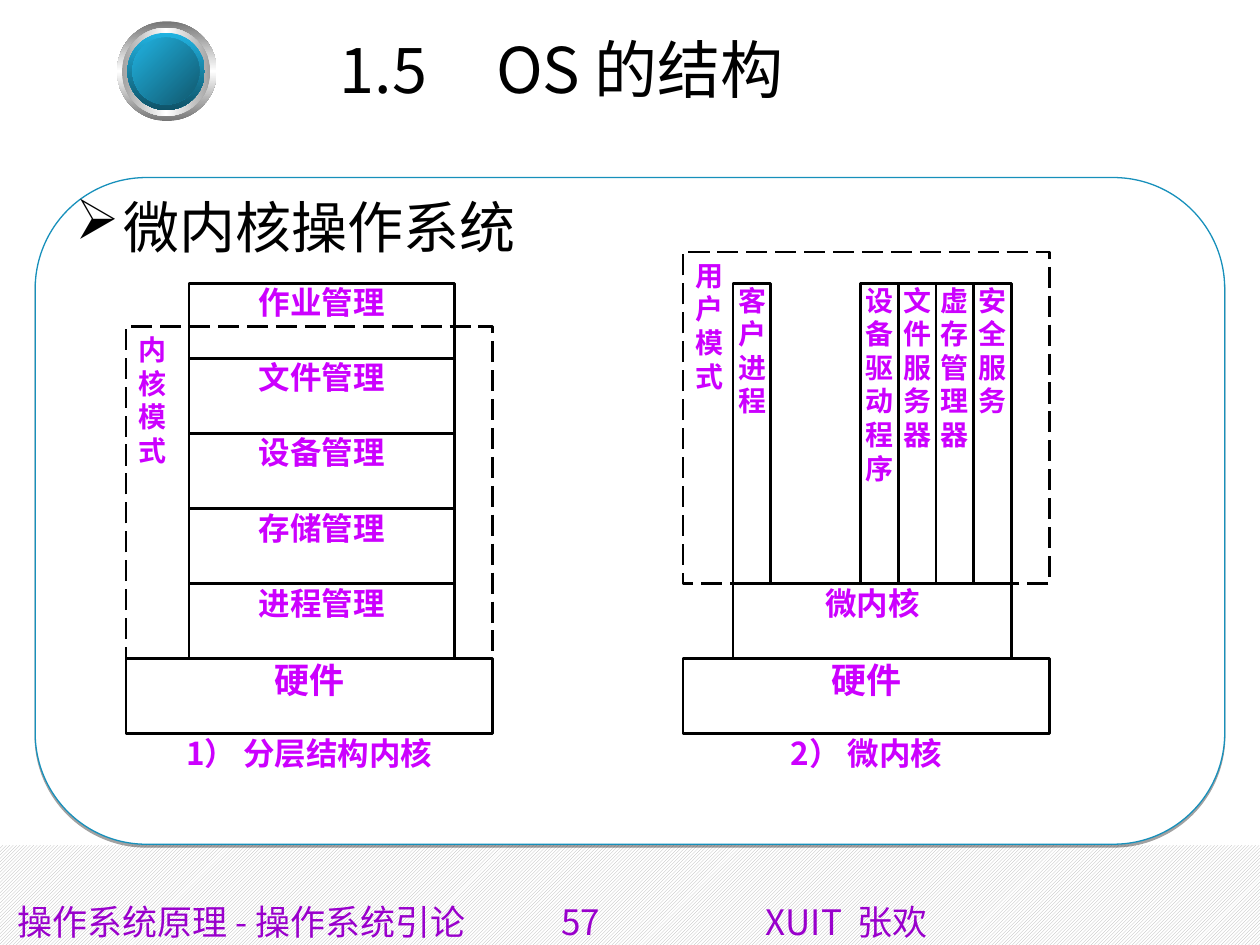
"""Build the slide on operating system structure: layered kernel and microkernel."""
import copy

import lxml.etree
import pptx
import pptx.dml.color
import pptx.enum.dml
import pptx.enum.shapes
import pptx.enum.text
import pptx.oxml.ns
import pptx.util

Cm = pptx.util.Cm
Pt = pptx.util.Pt
qn = pptx.oxml.ns.qn
SHAPE = pptx.enum.shapes.MSO_SHAPE
ALIGN = pptx.enum.text.PP_ALIGN
SANS = "Noto Sans CJK SC"


def rgb(hex_color):
    return pptx.dml.color.RGBColor.from_string(hex_color)


def write(shape, text, size=18, color="000000", bold=False, align=ALIGN.LEFT,
          font=SANS, insets=(0.25, 0.13), tabs=()):
    frame = shape.text_frame
    frame.word_wrap = True
    frame.vertical_anchor = pptx.enum.text.MSO_ANCHOR.TOP
    frame.margin_left = frame.margin_right = Cm(insets[0])
    frame.margin_top = frame.margin_bottom = Cm(insets[1])
    frame.text = text
    for paragraph in frame.paragraphs:
        paragraph.alignment = align
        if tabs:
            properties = paragraph.runs[0].font and paragraph._p.get_or_add_pPr()
            stops = lxml.etree.SubElement(properties, qn("a:tabLst"))
            for position in tabs:
                lxml.etree.SubElement(stops, qn("a:tab"), pos=str(Cm(position)), algn="l")
        for run in paragraph.runs:
            run.font.size = Pt(size)
            run.font.bold = bold
            run.font.name = font
            run.font.color.rgb = rgb(color)
            lxml.etree.SubElement(run.font._element, qn("a:ea"), typeface=SANS)


presentation = pptx.Presentation()
presentation.slide_width = Cm(25.4)
presentation.slide_height = Cm(19.05)
slide = presentation.slides.add_slide(presentation.slide_layouts[6])

footer_band = slide.shapes.add_shape(SHAPE.RECTANGLE, 0, Cm(17.04), Cm(25.4), Cm(2.01))
footer_band.shadow.inherit = False
footer_band.line.fill.background()
footer_band.fill.patterned()
footer_band.fill.pattern = pptx.enum.dml.MSO_PATTERN.DARK_UPWARD_DIAGONAL
footer_band.fill.fore_color.rgb = rgb("B2B2B2")
footer_band.fill.back_color.rgb = rgb("FFFFFF")

button = slide.shapes.add_group_shape()
for left, top, diameter, colors, angle in [
    (2.36, 0.43, 2.01, ["767676", "FFFFFF", "767676"], 270),
    (2.46, 0.56, 1.78, ["A2A2A2", "FFFFFF", "A2A2A2"], 0),
    (2.57, 0.66, 1.56, ["21B3E1", "0F5368"], 270),
    (2.67, 0.76, 1.35, ["21B3E1", "10576D"], 315),
]:
    disc = button.shapes.add_shape(SHAPE.OVAL, Cm(left), Cm(top), Cm(diameter), Cm(diameter))
    disc.shadow.inherit = False
    disc.line.fill.background()
    disc.fill.gradient()
    disc.fill.gradient_angle = angle
    stop_list = disc.element.find(".//" + qn("a:gsLst"))
    if len(colors) == 3:
        stop_list.append(copy.deepcopy(stop_list[-1]))
    for index, stop in enumerate(disc.fill.gradient_stops):
        stop.position = index / (len(colors) - 1)
        stop.color.rgb = rgb(colors[index])

footer = slide.shapes.add_textbox(Cm(0.1), Cm(18.03), Cm(25.4), Cm(1.02))
write(footer, "操作系统原理 - 操作系统引论\t57\tXUIT  张欢", size=20, color="9900CC",
      tabs=(10.97, 15.09))

panel = slide.shapes.add_shape(SHAPE.ROUNDED_RECTANGLE, Cm(0.71), Cm(3.58), Cm(23.98), Cm(13.44))
panel.fill.solid()
panel.fill.fore_color.rgb = rgb("FFFFFF")
panel.line.color.rgb = rgb("1790BB")
panel.line.width = Pt(0.75)
panel.shadow.inherit = False
shadow = lxml.etree.SubElement(panel.element.find(".//" + qn("a:effectLst")), qn("a:outerShdw"),
                               dist=str(Pt(1.6)), dir="5400000", rotWithShape="0")
shadow_color = lxml.etree.SubElement(shadow, qn("a:srgbClr"), val="000000")
lxml.etree.SubElement(shadow_color, qn("a:alpha"), val="37000")

topic = slide.shapes.add_textbox(Cm(1.27), Cm(3.76), Cm(22.89), Cm(13.26))
write(topic, "微内核操作系统", size=32)
topic_format = topic.text_frame.paragraphs[0]._p.get_or_add_pPr()
topic_format.set("marL", str(Cm(0.97)))
topic_format.set("indent", str(-Cm(0.97)))
lxml.etree.SubElement(topic_format, qn("a:buChar"), char="➢")

layered_left, micro_left, base_width = 2.54, 13.77, 7.39
stack_top, hardware_top = 5.71, 13.28
layers = ["作业管理", "文件管理", "设备管理", "存储管理", "进程管理"]
services = ["设备驱动程序", "文件服务器", "虚存管理器", "安全服务"]
row = (hardware_top - stack_top) / len(layers)
kernel_top = hardware_top - row
column, column_height = 0.76, kernel_top - stack_top
mode_height = 6.69

boxes = [
    ("1） 分层结构内核", layered_left, hardware_top + row, base_width, row, 18, "caption"),
    ("2） 微内核", micro_left, hardware_top + row, base_width, row, 18, "caption"),
]
boxes += [(layer, 3.81, stack_top + index * row, 5.36, row, 18, "solid")
          for index, layer in enumerate(layers)]
boxes += [
    ("硬件", layered_left, hardware_top, base_width, row, 20, "solid"),
    ("内\n核\n模\n式", layered_left, 6.58, base_width, mode_height, 16, "dashed"),
    ("微内核", 14.78, kernel_top, 5.61, row, 18, "solid"),
    ("硬件", micro_left, hardware_top, base_width, row, 20, "solid"),
    ("客户进程", 14.78, stack_top, column, column_height, 16, "solid"),
]
boxes += [(service, 17.35 + index * column, stack_top, column, column_height, 16, "solid")
          for index, service in enumerate(services)]
boxes.append(("用\n户\n模\n式", micro_left, 5.08, base_width, mode_height, 16, "dashed"))

diagram = slide.shapes.add_group_shape()
for text, left, top, width, height, size, style in boxes:
    box = diagram.shapes.add_shape(SHAPE.RECTANGLE, Cm(left), Cm(top), Cm(width), Cm(height))
    box.shadow.inherit = False
    if style == "caption":
        box.line.fill.background()
    else:
        box.line.color.rgb = rgb("000000")
        box.line.width = Pt(1.5)
    if style == "dashed":
        box.fill.background()
        box.line.dash_style = pptx.enum.dml.MSO_LINE.LONG_DASH
        write(box, text, size=size, color="CC00FF", bold=True, align=ALIGN.JUSTIFY,
              font="Times New Roman")
    else:
        box.fill.solid()
        box.fill.fore_color.rgb = rgb("FFFFFF")
        write(box, text, size=size, color="CC00FF", bold=True, align=ALIGN.CENTER, insets=(0, 0))

title = slide.shapes.add_textbox(Cm(1.24), Cm(0.48), Cm(20.07), Cm(3.1))
write(title, "1.5\tOS 的结构", size=36, tabs=(3.15,))
title.text_frame.margin_left = Cm(5.61)

presentation.save("out.pptx")
